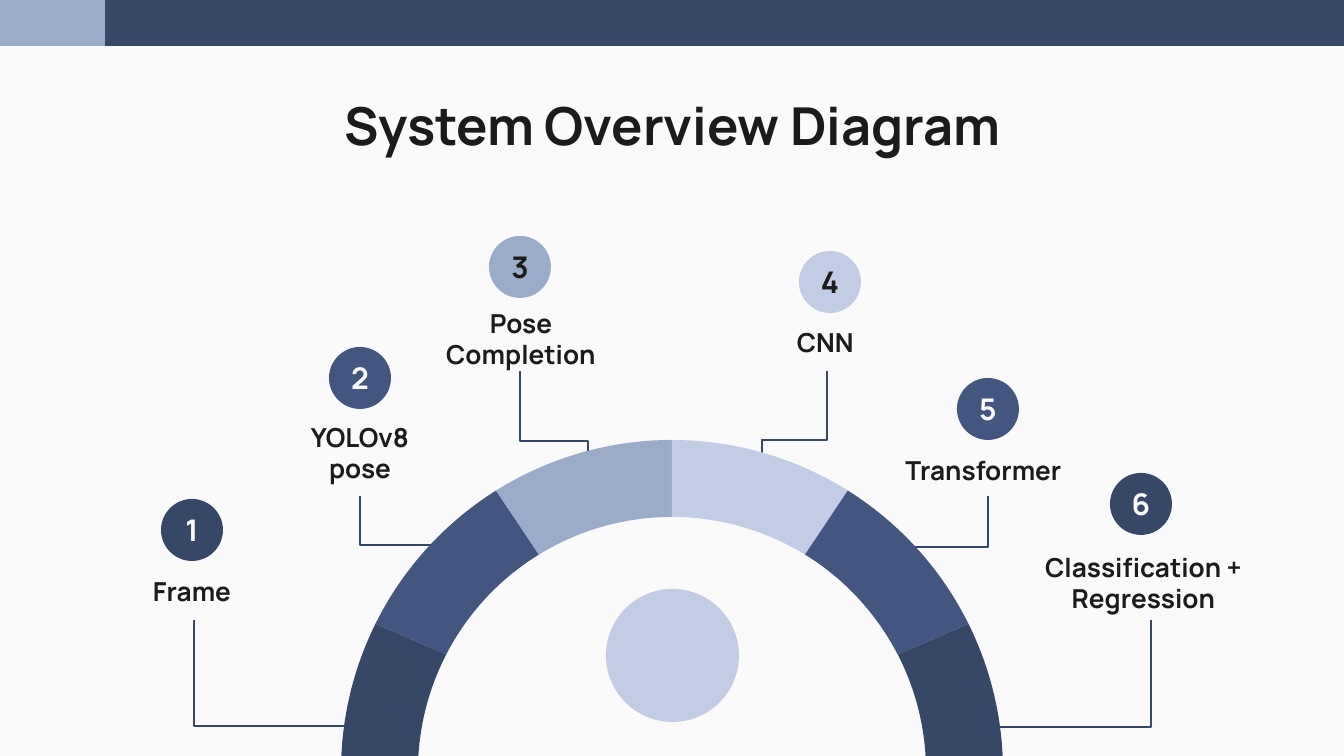
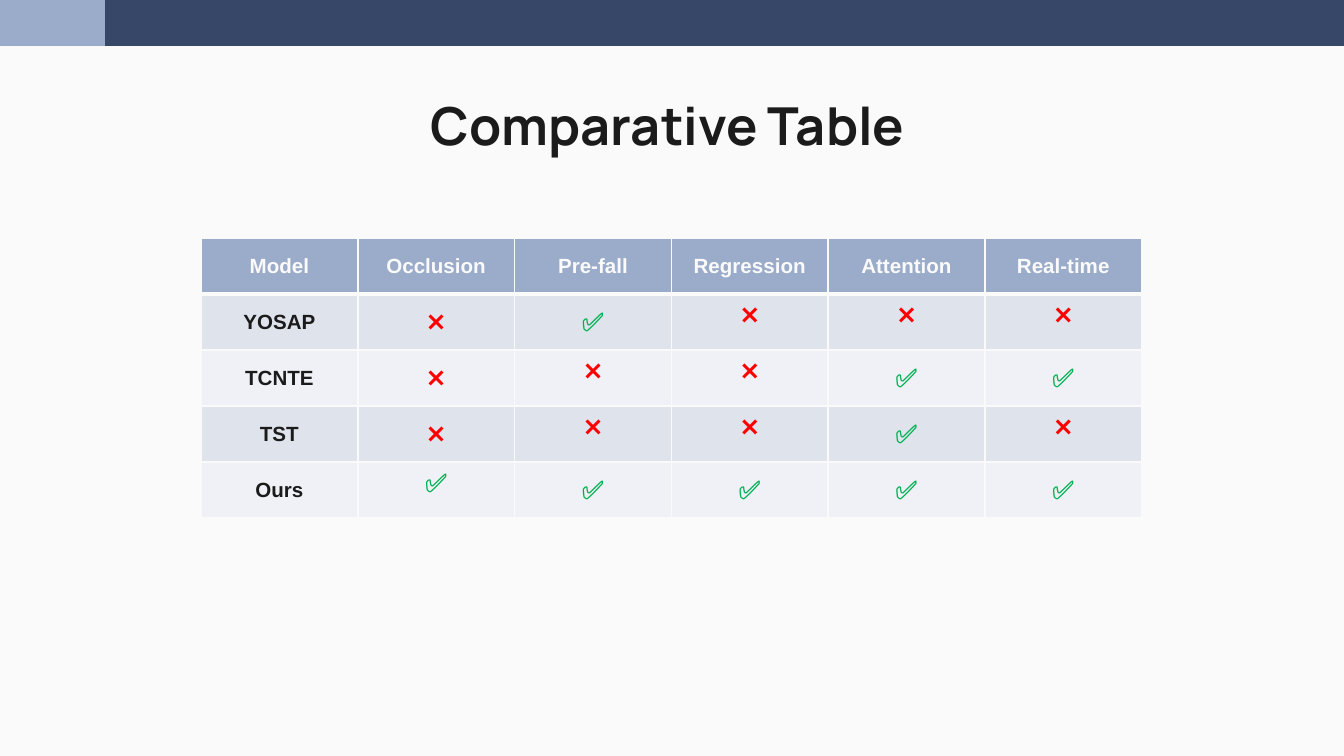
import math

from lxml import etree
from pptx import Presentation
from pptx.dml.color import RGBColor
from pptx.enum import shapes, text
from pptx.oxml.ns import qn
from pptx.util import Emu, Pt

EMU_PER_PX = 914400 / 134.4
WIDTH, HEIGHT = 1344, 756
NAVY, BLUE, STEEL, PALE = "374768", "43567F", "9BACCA", "C2CDE5"
PAPER, INK = "FAFAFA", "1B1B1B"
RED, GREEN = "FF0000", "00B050"
ROW_FILLS = "DEE3EC", "EFF1F6"
HEADING_FONT, TABLE_FONT = "Manrope", "Arial"
INSET = 13


def px(n):
    return Emu(round(n * EMU_PER_PX))


def box_emu(box):
    return [px(n) for n in box]


def color(hex_string):
    return RGBColor.from_string(hex_string)


def fill_solid(fill, hex_string):
    fill.solid()
    fill.fore_color.rgb = color(hex_string)


def set_frame(tf, anchor, inset=INSET):
    tf.word_wrap = True
    tf.auto_size = text.MSO_AUTO_SIZE.NONE
    tf.vertical_anchor = anchor
    tf.margin_left = tf.margin_right = px(inset)
    tf.margin_top = tf.margin_bottom = px(inset)


def write(p, words, size, hex_string, font=HEADING_FONT, bold=True):
    p.alignment = text.PP_ALIGN.CENTER
    r = p.add_run()
    r.text = words
    r.font.name = font
    r.font.size = Pt(size)
    r.font.bold = bold
    r.font.color.rgb = color(hex_string)


def finish_shape(sp, hex_string):
    """Flat fill without outline or shadow."""
    sp.shadow.inherit = False
    fill_solid(sp.fill, hex_string)
    sp.line.fill.background()
    return sp


def add_flat(slide, kind, box, hex_string):
    return finish_shape(slide.shapes.add_shape(kind, *box_emu(box)), hex_string)


def move_bands_to_layout(slide):
    """Draws the two top bands and hands them to the shared layout."""
    tree = slide.slide_layout.shapes._spTree
    bands = [((0, 0, WIDTH, 46), NAVY), ((0, 0, 105, 46), STEEL)]
    for i, (box, hex_string) in enumerate(bands):
        band = add_flat(slide, shapes.MSO_SHAPE.RECTANGLE, box, hex_string)
        band._element.nvSpPr.cNvPr.set("id", str(100 + i))
        tree.insert(2 + i, band._element)


def new_slide(prs, title, title_box):
    slide = prs.slides.add_slide(prs.slide_layouts[5])
    sp = slide.shapes.title
    sp.left, sp.top, sp.width, sp.height = box_emu(title_box)
    set_frame(sp.text_frame, text.MSO_ANCHOR.TOP)
    write(sp.text_frame.paragraphs[0], title, 28, INK)
    return slide


def add_elbow(slide, start, end, preset=None):
    c = slide.shapes.add_connector(shapes.MSO_CONNECTOR.ELBOW, *box_emu(start + end))
    c.line.color.rgb = color(NAVY)
    c.line.width = Pt(0.75)
    sp_pr = c._element.spPr
    etree.SubElement(sp_pr, qn("a:effectLst"))
    if preset:
        sp_pr.find(qn("a:prstGeom")).set("prst", preset)
    return c


def add_corner(slide, start, end):
    """Runs sideways from start, then vertically to end."""
    add_elbow(slide, start, end, "bentConnector2")


def add_step(slide, start, end):
    """Drops from start, crosses halfway down, drops to end."""
    (x1, y1), (x2, y2) = start, end
    cx, cy = (x1 + x2) / 2, (y1 + y2) / 2
    half_run, half_drop = (x1 - x2) / 2, (y2 - y1) / 2
    c = add_elbow(slide, (cx - half_drop, cy - half_run), (cx + half_drop, cy + half_run))
    c.rotation = 90


def arc_points(cx, cy, radius, first, last):
    """Bezier points of an arc; angles in degrees clockwise from the top."""
    a, b = math.radians(first), math.radians(last)
    k = 4 / 3 * math.tan((b - a) / 4)
    offsets = [
        (math.sin(a), -math.cos(a)),
        (math.sin(a) + k * math.cos(a), -math.cos(a) + k * math.sin(a)),
        (math.sin(b) - k * math.cos(b), -math.cos(b) - k * math.sin(b)),
        (math.sin(b), -math.cos(b)),
    ]
    return [(px(cx + radius * dx), px(cy + radius * dy)) for dx, dy in offsets]


def curve_lines(sp, starts):
    """Turns three straight segments from each start index into one curve."""
    lines = list(sp._element.iter(qn("a:lnTo")))
    for start in starts:
        curve = etree.Element(qn("a:cubicBezTo"))
        lines[start].addprevious(curve)
        for line in lines[start:start + 3]:
            curve.append(line[0])
            line.getparent().remove(line)


def add_arch(slide, cx, cy, outer, inner, floor):
    """Six ring segments, mirrored about cx and cut off level at floor."""
    def bounds(radius, low, high):
        end = math.degrees(math.acos((cy - floor) / radius))
        return [-end, -low, -high, 0, high, low, end]

    outer_bounds = bounds(outer, 63.6, 32.1)
    inner_bounds = bounds(inner, 62.7, 31.6)
    for i, hex_string in enumerate([NAVY, BLUE, STEEL, PALE, BLUE, NAVY]):
        points = (arc_points(cx, cy, outer, *outer_bounds[i:i + 2])
                  + arc_points(cx, cy, inner, *inner_bounds[i:i + 2])[::-1])
        builder = slide.shapes.build_freeform(*points[0])
        builder.add_line_segments(points[1:])
        sp = finish_shape(builder.convert_to_shape(), hex_string)
        curve_lines(sp, (0, 4))


def add_label(slide, box, lines):
    tf = slide.shapes.add_textbox(*box_emu(box)).text_frame
    set_frame(tf, text.MSO_ANCHOR.BOTTOM)
    for i, line in enumerate(lines):
        p = tf.add_paragraph() if i else tf.paragraphs[0]
        write(p, line, 14, INK)


def add_badge(slide, x, y, number, hex_string):
    sp = add_flat(slide, shapes.MSO_SHAPE.OVAL, (x, y, 62, 62), hex_string)
    set_frame(sp.text_frame, text.MSO_ANCHOR.MIDDLE, 0)
    ink = INK if hex_string in (STEEL, PALE) else PAPER
    write(sp.text_frame.paragraphs[0], str(number), 16, ink)


def overview_slide(prs):
    slide = new_slide(prs, "System Overview Diagram", (106, 80, 1133, 85))
    add_corner(slide, (977, 727), (1151, 620))
    add_corner(slide, (370, 726), (194, 620))
    for start, end in [((360, 496), (435, 594)), ((988, 496), (911, 598)),
                       ((520, 371), (588, 511)), ((827, 371), (762, 509))]:
        add_step(slide, start, end)
    add_arch(slide, 672, 771, 331, 254, HEIGHT)
    add_flat(slide, shapes.MSO_SHAPE.OVAL, (606, 589, 133, 133), PALE)
    stages = [
        (["Frame"], (104, 554, 176, 66), (161, 499), NAVY),
        (["YOLOv8", "pose"], (288, 431, 144, 66), (329, 347), BLUE),
        (["Pose Completion"], (415, 315, 212, 68), (489, 236), STEEL),
        (["CNN "], (707, 305, 242, 66), (799, 251), PALE),
        (["Transformer"], (830, 433, 307, 66), (957, 378), BLUE),
        (["Classification + Regression"], (1021, 561, 245, 66), (1110, 473), NAVY),
    ]
    for number, (lines, label_box, badge_at, hex_string) in enumerate(stages, 1):
        add_label(slide, label_box, lines)
        add_badge(slide, *badge_at, number, hex_string)
    return slide


def set_borders(cell, widths):
    tc_pr = cell._tc.get_or_add_tcPr()
    for side, width in zip("LRTB", widths):
        ln = etree.SubElement(tc_pr, qn("a:ln" + side), w=str(Pt(width)))
        solid = etree.SubElement(ln, qn("a:solidFill"))
        etree.SubElement(solid, qn("a:srgbClr"), val=PAPER)


def fill_cell(cell, words, size, ink, cell_fill, widths, top=False, bold=True):
    set_borders(cell, widths)
    fill_solid(cell.fill, cell_fill)
    if not top:
        cell.vertical_anchor = text.MSO_ANCHOR.MIDDLE
        cell.margin_left = cell.margin_right = 0
        cell.margin_top = cell.margin_bottom = 0
    write(cell.text_frame.paragraphs[0], words, size, ink, TABLE_FONT, bold)


def add_comparison(slide, x, y, width, height):
    header = ["Model", "Occlusion", "Pre-fall", "Regression", "Attention", "Real-time"]
    # model, marks, columns whose mark sits at the top of its cell
    models = [
        ("YOSAP", "❌✅❌❌❌", (3, 4, 5)),
        ("TCNTE", "❌❌❌✅✅", (2, 3)),
        ("TST", "❌❌❌✅❌", (2, 3, 5)),
        ("Ours", "✅✅✅✅✅", (1,)),
    ]
    rows, cols = len(models) + 1, len(header)
    table = slide.shapes.add_table(rows, cols, *box_emu((x, y, width, height))).table
    table.horz_banding = False
    for col in table.columns:
        col.width = px(width / cols)
    for row in table.rows:
        row.height = px(height / rows)
    for j, words in enumerate(header):
        fill_cell(table.cell(0, j), words, 11, PAPER, STEEL, (1, 1, 1, 3))
    for i, (model, marks, top_cols) in enumerate(models, 1):
        row_fill = ROW_FILLS[(i - 1) % 2]
        widths = (1, 1, 3 if i == 1 else 1, 1)
        fill_cell(table.cell(i, 0), model, 11, INK, row_fill, widths)
        for j, mark in enumerate(marks, 1):
            ink = GREEN if mark == "✅" else RED
            fill_cell(table.cell(i, j), mark, 14, ink, row_fill, widths, j in top_cols, False)


def comparison_slide(prs):
    slide = new_slide(prs, "Comparative Table", (101, 80, 1133, 85))
    add_comparison(slide, 201, 238, 941, 280)


def main():
    prs = Presentation()
    prs.slide_width, prs.slide_height = px(WIDTH), px(HEIGHT)
    fill_solid(prs.slide_master.background.fill, PAPER)
    move_bands_to_layout(overview_slide(prs))
    comparison_slide(prs)
    prs.save("out.pptx")


if __name__ == "__main__":
    main()
